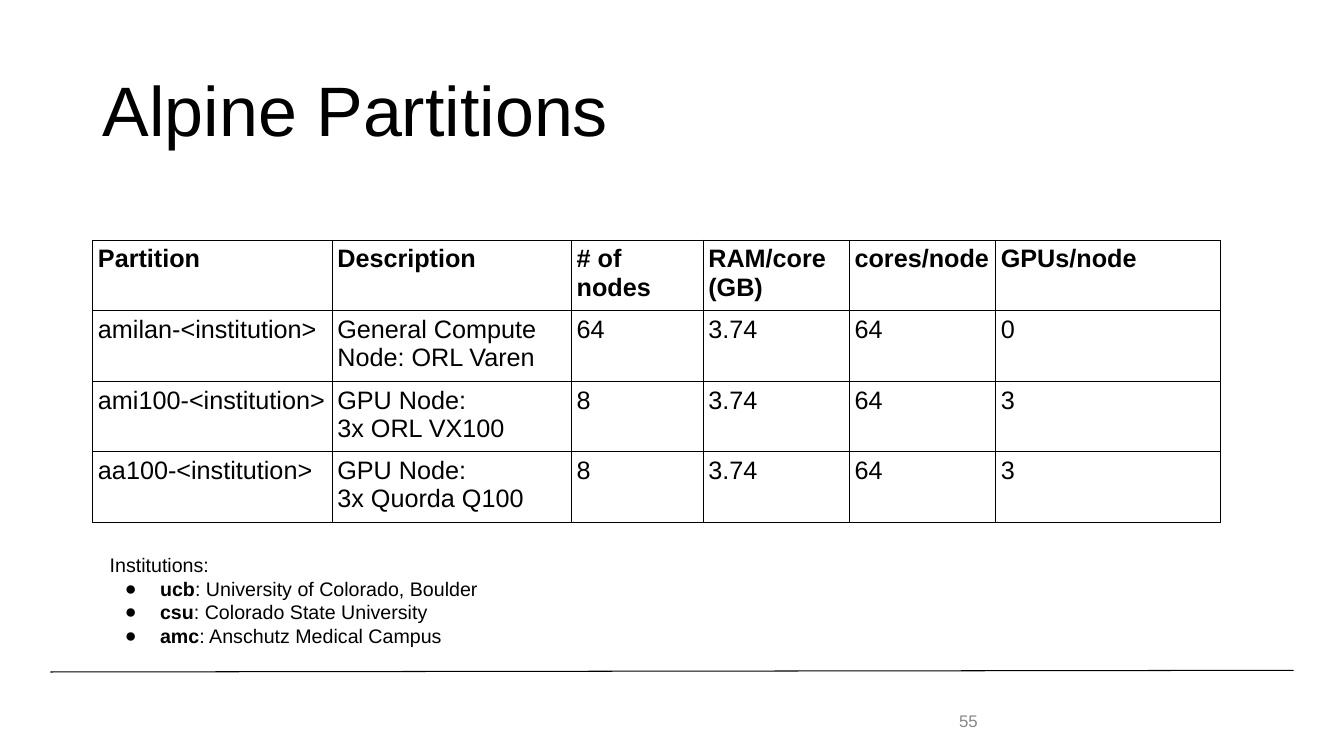
import pptx
import pptx.dml.color
import pptx.enum.shapes
import pptx.enum.text
import pptx.oxml
import pptx.oxml.ns
import pptx.util

Pt = pptx.util.Pt
ANCHOR = pptx.enum.text.MSO_ANCHOR
BLACK = pptx.dml.color.RGBColor(0x00, 0x00, 0x00)
GREY = pptx.dml.color.RGBColor(0x88, 0x88, 0x88)
FONT = "Arial"
RULE = 0.75

WIDTHS = [171, 171, 94, 104.5, 104.5, 160.5]
ROW = 47.2
ROWS = [
    ["Partition", "Description", "# of nodes", "RAM/core (GB)",
     "cores/node", "GPUs/node"],
    ["amilan-<institution>", "General Compute Node: ORL Varen",
     "64", "3.74", "64", "0"],
    ["ami100-<institution>", "GPU Node:\n3x ORL VX100",
     "8", "3.74", "64", "3"],
    ["aa100-<institution>", "GPU Node:\n3x Quorda Q100",
     "8", "3.74", "64", "3"],
]
SCHOOLS = [
    ("ucb", "University of Colorado, Boulder"),
    ("csu", "Colorado State University"),
    ("amc", "Anschutz Medical Campus"),
]


def add_xml(parent, tag, body="", **attrs):
    """Append one drawing element, with its inner XML, to parent."""
    ns = pptx.oxml.ns.nsdecls("a")
    pairs = " ".join(f'{key}="{value}"' for key, value in attrs.items())
    parent.append(pptx.oxml.parse_xml(f"<a:{tag} {ns} {pairs}>{body}</a:{tag}>"))


def add_run(para, text, size, bold=False, color=BLACK):
    run = para.add_run()
    run.text = text
    run.font.name = FONT
    run.font.size = Pt(size)
    run.font.bold = bold
    run.font.color.rgb = color


def add_box(slide, left, top, width, height, pad):
    """Add a wrapping text box; pad is its top and bottom inset."""
    box = slide.shapes.add_textbox(Pt(left), Pt(top), Pt(width), Pt(height))
    frame = box.text_frame
    frame.word_wrap = True
    frame.margin_left = frame.margin_right = Pt(7.2)
    frame.margin_top = frame.margin_bottom = Pt(pad)
    return frame


def add_title(slide, text):
    title = slide.shapes.title
    title.left, title.top = Pt(66), Pt(28.8)
    title.width, title.height = Pt(828), Pt(104.4)
    frame = title.text_frame
    frame.vertical_anchor = ANCHOR.MIDDLE
    para = frame.paragraphs[0]
    para.alignment = pptx.enum.text.PP_ALIGN.LEFT
    para.line_spacing = 0.9
    add_run(para, text, 50)


def fill_cell(cell, text, bold):
    cell.margin_left = cell.margin_right = Pt(3.6)
    cell.margin_top = cell.margin_bottom = Pt(3.6)
    frame = cell.text_frame
    for i, line in enumerate(text.split("\n")):
        para = frame.add_paragraph() if i else frame.paragraphs[0]
        add_run(para, line, 18, bold)
    props = cell._tc.get_or_add_tcPr()
    ink = f'<a:solidFill><a:srgbClr val="{BLACK}"/></a:solidFill>'
    for side in "LRTB":
        add_xml(props, f"ln{side}", ink, w=int(Pt(RULE)))
    cell.fill.background()


def add_grid(slide):
    frame = slide.shapes.add_table(
        len(ROWS), len(WIDTHS), Pt(66.4), Pt(171.4),
        Pt(sum(WIDTHS)), Pt(ROW * len(ROWS)))
    table = frame.table
    table.horz_banding = False
    for col, width in zip(table.columns, WIDTHS):
        col.width = Pt(width)
    for r, texts in enumerate(ROWS):
        table.rows[r].height = Pt(ROW)
        for c, text in enumerate(texts):
            fill_cell(table.cell(r, c), text, bold=r == 0)


def add_schools(slide):
    frame = add_box(slide, 71.3, 388, 446.4, 82, 7.2)
    add_run(frame.paragraphs[0], "Institutions:", 14)
    for code, name in SCHOOLS:
        para = frame.add_paragraph()
        props = para._p.get_or_add_pPr()
        props.set("marL", str(Pt(36)))
        props.set("indent", str(-Pt(25.2)))
        add_xml(props, "buClr", f'<a:srgbClr val="{BLACK}"/>')
        add_xml(props, "buFont", typeface=FONT)
        add_xml(props, "buChar", char="●")
        add_run(para, code, 14, True)
        add_run(para, f": {name}", 14)


def add_rule(slide):
    rule = slide.shapes.add_connector(
        pptx.enum.shapes.MSO_CONNECTOR.STRAIGHT,
        Pt(36), Pt(480), Pt(924), Pt(478.8))
    rule.line.color.rgb = BLACK
    rule.line.width = Pt(RULE)
    add_xml(rule._element.spPr, "effectLst")


def add_number(slide, text):
    frame = add_box(slide, 678, 500.4, 54, 28.8, 3.6)
    frame.vertical_anchor = ANCHOR.MIDDLE
    add_run(frame.paragraphs[0], text, 12, color=GREY)


def main():
    deck = pptx.Presentation()
    deck.slide_width, deck.slide_height = Pt(960), Pt(540)
    slide = deck.slides.add_slide(deck.slide_layouts.get_by_name("Title Only"))
    add_rule(slide)
    add_title(slide, "Alpine Partitions")
    add_number(slide, "55")
    add_grid(slide)
    add_schools(slide)
    deck.save("out.pptx")


if __name__ == "__main__":
    main()
